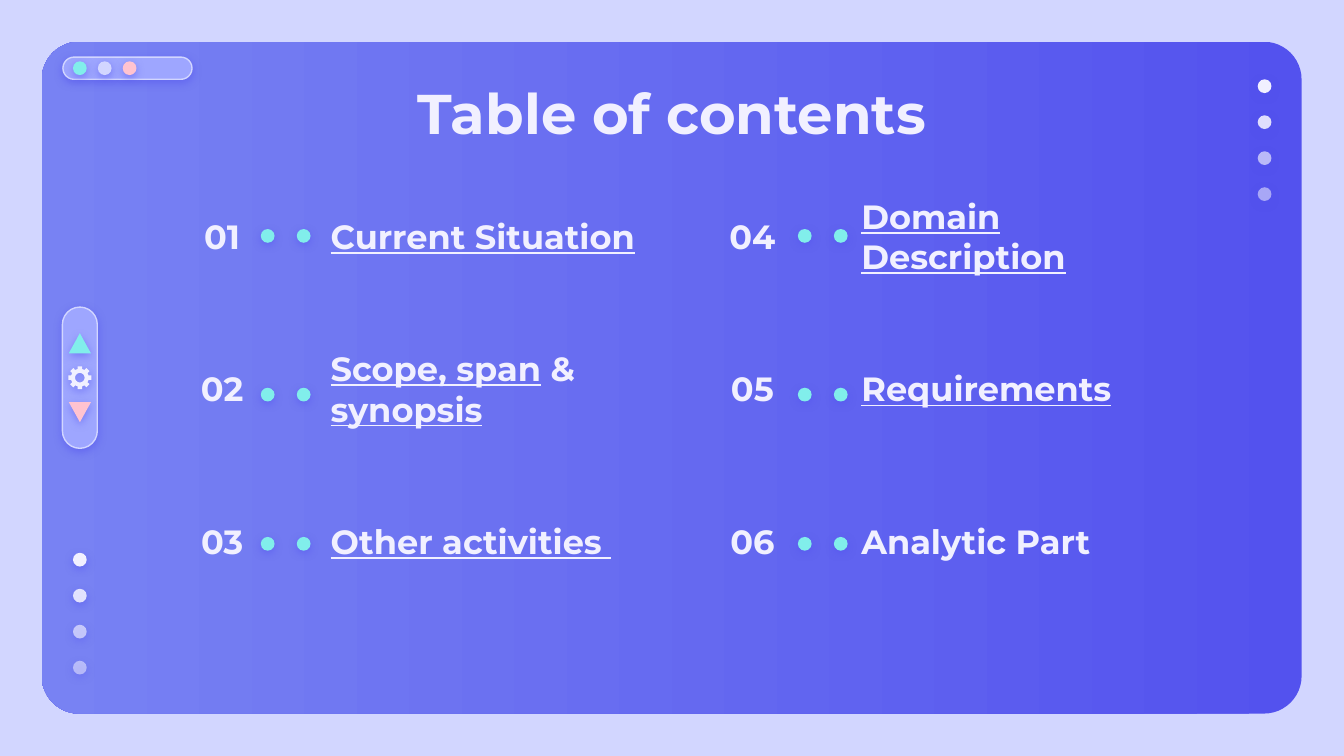
from dataclasses import dataclass
from math import cos, radians, sin

from lxml.etree import SubElement
from pptx import Presentation
from pptx.dml.color import RGBColor
from pptx.enum.shapes import MSO_SHAPE
from pptx.enum.text import MSO_ANCHOR, MSO_AUTO_SIZE, PP_ALIGN
from pptx.oxml.ns import qn
from pptx.shapes.autoshape import Shape
from pptx.slide import Slide
from pptx.text.text import TextFrame
from pptx.util import Cm, Pt


@dataclass(frozen=True)
class Theme:
    font: str = "Montserrat"
    title_size: int = 30
    item_size: int = 18
    text: str = "F1F0FF"
    backdrop: str = "D2D6FF"
    deep: str = "5352EE"
    soft: str = "7882F3"
    pill: str = "9EA6FF"
    mint: str = "81EEEB"
    pink: str = "FFC3D0"


@dataclass(frozen=True)
class Column:
    number_x: float
    dot_x: float
    label_x: float


@dataclass(frozen=True)
class Row:
    text_y: float
    dot_y: float


@dataclass(frozen=True)
class Run:
    text: str
    underline: bool = True


THEME = Theme()
DOT_SIZE, DOT_STEP = 0.26, 0.68
RAIL_X, RAIL_Y = 1.51, 7.14  # centre of the scroll bar
COLUMNS = [Column(2.98, 5.06, 6.0), Column(13.0, 15.21, 16.03)]
ROWS = [Row(4.12, 4.46), Row(7.0, 7.46), Row(9.88, 10.28)]
ITEMS = [
    [Run("Current Situation")],
    [Run("Scope, span"), Run(" & ", False), Run("synopsis")],
    [Run("Other activities ")],
    [Run("Domain Description")],
    [Run("Requirements")],
    [Run("Analytic Part", False)],
]


def rgb(color: str) -> RGBColor:
    return RGBColor.from_string(color)


def paint(sp: Shape, color: str, alpha: int = 100, outlined: bool = False) -> None:
    """Solid fill, optional thin outline and the soft shadow of small controls."""
    sp.shadow.inherit = False
    sp.fill.solid()
    sp.fill.fore_color.rgb = rgb(color)
    props = sp.element.spPr
    if alpha < 100:
        SubElement(props.find(".//" + qn("a:srgbClr")), qn("a:alpha"), val=str(alpha * 1000))
    if outlined:
        sp.line.color.rgb = rgb(THEME.backdrop)
        sp.line.width = Pt(0.75)
    else:
        sp.line.fill.background()
    shadow = SubElement(props.find(qn("a:effectLst")), qn("a:outerShdw"),
                        blurRad=str(Pt(4.5)), dist=str(Pt(1.5)), dir="5400000",
                        algn="bl", rotWithShape="0")
    tint = SubElement(shadow, qn("a:srgbClr"), val=THEME.deep)
    SubElement(tint, qn("a:alpha"), val="50000")


def add_centred(s: Slide, kind: MSO_SHAPE, x: float, y: float, w: float, h: float) -> Shape:
    return s.shapes.add_shape(kind, Cm(x - w / 2), Cm(y - h / 2), Cm(w), Cm(h))


def add_dot(s: Slide, x: float, y: float, color: str, alpha: int = 100) -> None:
    paint(add_centred(s, MSO_SHAPE.OVAL, x, y, DOT_SIZE, DOT_SIZE), color, alpha)


def add_pill(s: Slide, x: float, y: float, w: float, h: float) -> None:
    sp = add_centred(s, MSO_SHAPE.ROUNDED_RECTANGLE, x, y, w, h)
    sp.adjustments[0] = 0.5
    paint(sp, THEME.pill, outlined=True)


def add_fading_dots(s: Slide, x: float, y: float) -> None:
    for i, alpha in enumerate((100, 89, 66, 54)):
        add_dot(s, x, y + i * DOT_STEP, THEME.text, alpha)


def add_gear(s: Slide, x: float, y: float) -> None:
    def at(radius: float, angle: float) -> tuple[int, int]:
        return (Cm(x + radius * cos(radians(angle))), Cm(y + radius * sin(radians(angle))))

    # Eight teeth, then a round hole drawn the other way
    tooth = ((0.17, -14), (0.22, -11), (0.22, 11), (0.17, 14))
    rim = [at(r, 45 * i + turn) for i in range(8) for r, turn in tooth]
    hole = [at(0.09, -angle) for angle in range(0, 360, 15)]
    builder = s.shapes.build_freeform(*rim[0])
    builder.add_line_segments(rim[1:])
    builder.move_to(*hole[0])
    builder.add_line_segments(hole[1:])
    paint(builder.convert_to_shape(), THEME.text)


def write(tf: TextFrame, runs: list[Run], size: int, align: PP_ALIGN, anchor: MSO_ANCHOR) -> None:
    tf.word_wrap = True
    tf.auto_size = MSO_AUTO_SIZE.NONE
    tf.vertical_anchor = anchor
    tf.margin_left = tf.margin_right = tf.margin_top = tf.margin_bottom = Cm(0.25)
    p = tf.paragraphs[0]
    p.alignment = align
    p.font.name = THEME.font
    p.font.size = Pt(size)
    p.font.bold = True
    p.font.color.rgb = rgb(THEME.text)
    for run in runs:
        r = p.add_run()
        r.text = run.text
        if run.underline:
            r.font.underline = True


def add_item_text(s: Slide, x: float, y: float, w: float, runs: list[Run], align: PP_ALIGN) -> None:
    box = s.shapes.add_textbox(Cm(x), Cm(y), Cm(w), Cm(0.69))
    write(box.text_frame, runs, THEME.item_size, align, MSO_ANCHOR.MIDDLE)


def add_item(s: Slide, number: int, runs: list[Run], column: Column, row: Row) -> None:
    add_item_text(s, column.number_x, row.text_y, 2.44,
                  [Run(f"{number:02}", False)], PP_ALIGN.CENTER)
    for i in range(2):
        add_dot(s, column.dot_x + i * DOT_STEP, row.dot_y, THEME.mint)
    add_item_text(s, column.label_x, row.text_y, 6.4, runs, PP_ALIGN.LEFT)


def add_panel(s: Slide) -> None:
    sp = s.shapes.add_shape(MSO_SHAPE.ROUNDED_RECTANGLE, Cm(0.79), Cm(0.79), Cm(23.81), Cm(12.7))
    sp.adjustments[0] = 0.056
    sp.shadow.inherit = False
    sp.line.fill.background()
    sp.fill.gradient()
    sp.fill.gradient_angle = 180
    for stop, color in zip(sp.fill.gradient_stops, (THEME.deep, THEME.soft)):
        stop.color.rgb = rgb(color)


def add_title(s: Slide, text: str) -> None:
    title = s.shapes.title
    title.left, title.top, title.width, title.height = Cm(2), Cm(1.24), Cm(21.4), Cm(1.6)
    write(title.text_frame, [Run(text, False)], THEME.title_size, PP_ALIGN.CENTER, MSO_ANCHOR.TOP)
    title.element.getparent().append(title.element)  # bring in front of the panel


def main() -> None:
    prs = Presentation()
    prs.slide_width, prs.slide_height = Cm(25.4), Cm(14.29)
    s = prs.slides.add_slide(prs.slide_layouts[5])
    s.background.fill.solid()
    s.background.fill.fore_color.rgb = rgb(THEME.backdrop)

    # Window panel with its buttons and fading dots
    add_panel(s)
    add_pill(s, 2.41, 1.29, 2.44, 0.42)
    for i, color in enumerate((THEME.mint, THEME.backdrop, THEME.pink)):
        add_dot(s, 1.51 + i * 0.47, 1.29, color)
    add_fading_dots(s, 23.9, 1.63)
    add_fading_dots(s, RAIL_X, 10.58)

    # Title and numbered entries, filled column by column
    add_title(s, "Table of contents")
    cells = [(column, row) for column in COLUMNS for row in ROWS]
    for number, (runs, (column, row)) in enumerate(zip(ITEMS, cells), start=1):
        add_item(s, number, runs, column, row)

    # Scroll bar with arrows and gear
    add_pill(s, RAIL_X, RAIL_Y, 0.66, 2.67)
    for side, color, turn in ((-1, THEME.mint, 0), (1, THEME.pink, 180)):
        sp = add_centred(s, MSO_SHAPE.ISOSCELES_TRIANGLE, RAIL_X, RAIL_Y + side * 0.65, 0.42, 0.38)
        sp.rotation = turn
        paint(sp, color)
    add_gear(s, RAIL_X, RAIL_Y)

    prs.save("out.pptx")


if __name__ == "__main__":
    main()
